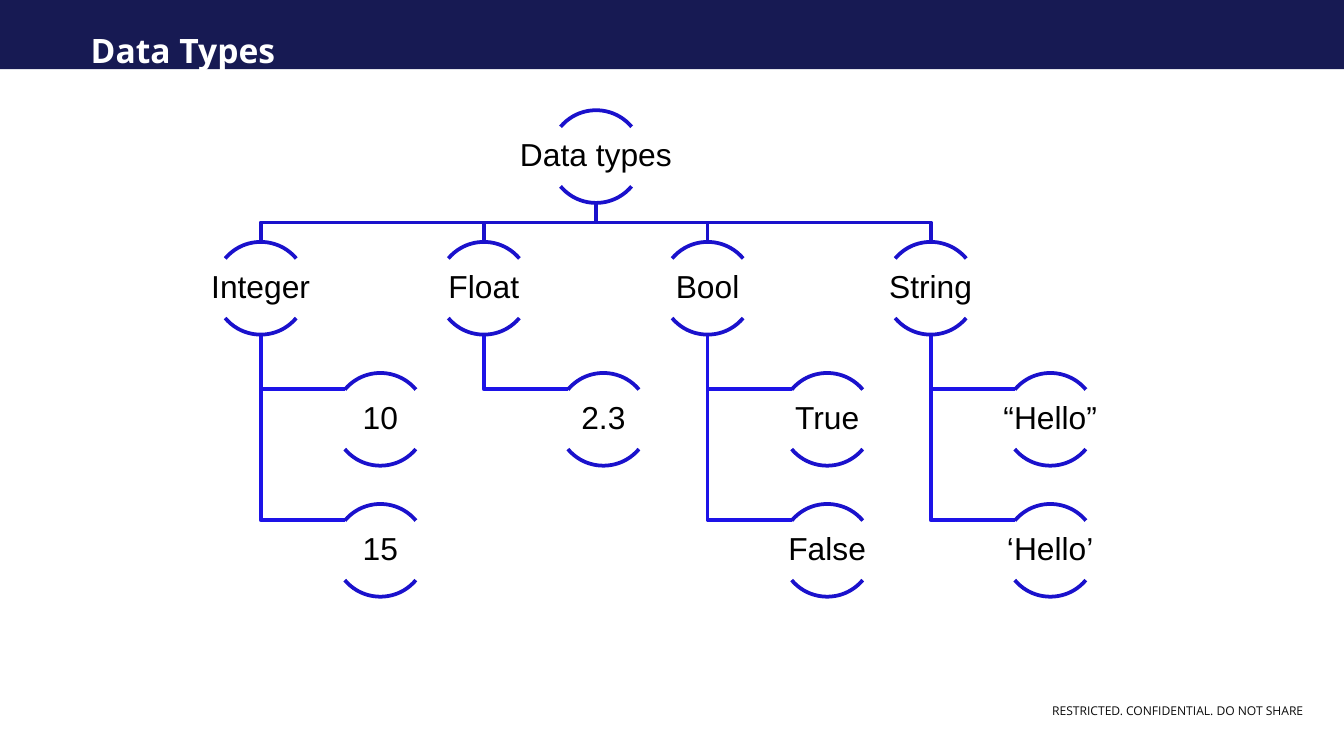
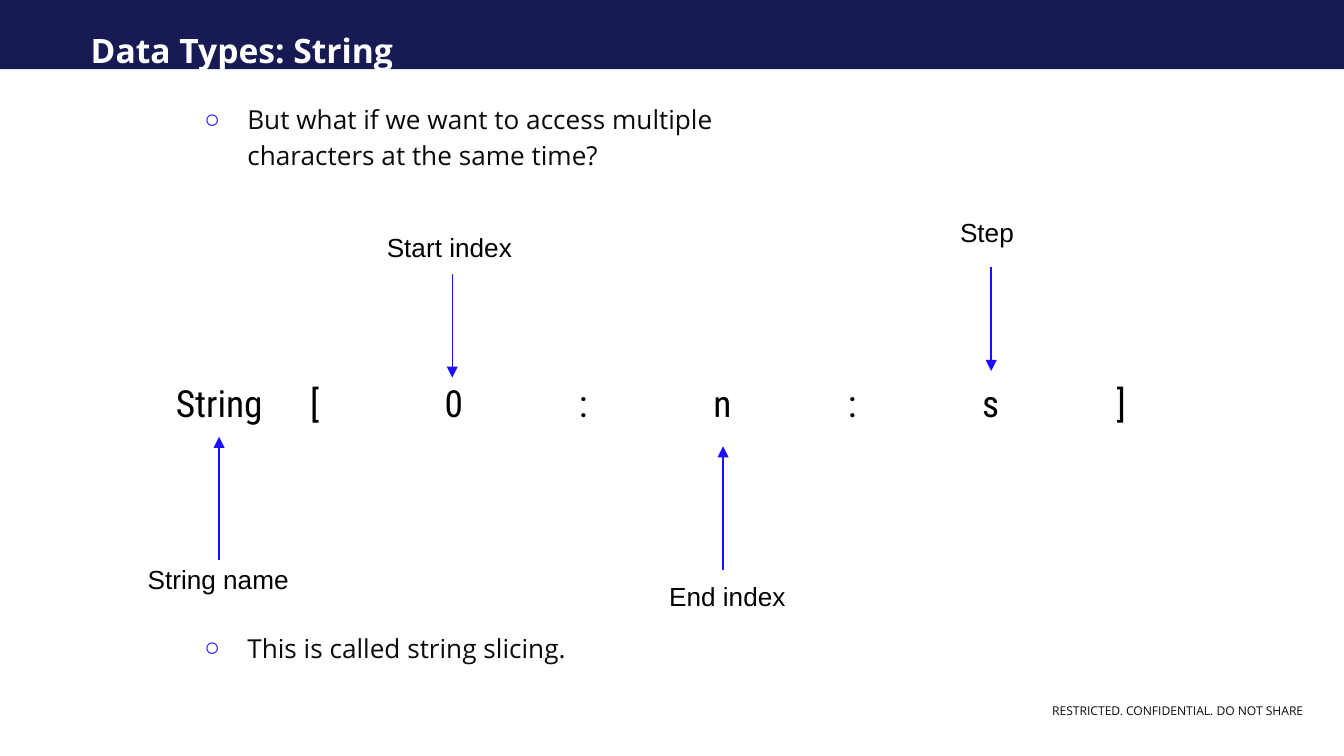
from lxml.etree import SubElement
from pptx import Presentation
from pptx.dml.color import RGBColor
from pptx.enum.shapes import MSO_CONNECTOR, MSO_SHAPE
from pptx.enum.text import MSO_ANCHOR, MSO_AUTO_SIZE, PP_ALIGN
from pptx.oxml.ns import qn
from pptx.util import Emu, Pt

EMU_PER_PX = 4572
NAVY = RGBColor(0x17, 0x1A, 0x53)
WHITE = RGBColor(0xFF, 0xFF, 0xFF)
BLACK = RGBColor(0x00, 0x00, 0x00)
INK = RGBColor(0x0B, 0x0B, 0x0B)
BULLET_BLUE = RGBColor(0x20, 0x15, 0xFF)
ARROW_BLUE = RGBColor(0x1A, 0x0F, 0xFF)
TRUNK_BLUE = RGBColor(0x1A, 0x11, 0xCC)
BRANCH_BLUE = RGBColor(0x1D, 0x13, 0xE7)

TITLE_FONT = {"name": "Open Sans", "size": Pt(18), "bold": True}
BODY_FONT = {"name": "Open Sans", "size": Pt(14)}
FOOTER_FONT = {"name": "Open Sans", "size": Pt(6.5)}
NODE_FONT = {"name": "Arial", "size": Pt(17)}
CALLOUT_FONT = {"name": "Arial", "size": Pt(14)}
SYNTAX_FONT = {"name": "Roboto Condensed", "size": Pt(20)}

TITLE_PARA = {"alignment": PP_ALIGN.LEFT, "line_spacing": 1.15,
              "space_before": Pt(0), "space_after": Pt(12)}
NODE_PARA = {"alignment": PP_ALIGN.CENTER, "line_spacing": 0.9, "space_after": Pt(6)}
MIDDLE = {"vertical_anchor": MSO_ANCHOR.MIDDLE}
GROW = {"auto_size": MSO_AUTO_SIZE.SHAPE_TO_FIT_TEXT}

CIRCLE = 138
ROOT_CENTRE, ROOT_TOP, LEVEL_STEP = 887, 164, 195.5
FIRST_CENTRE, TYPES_SPAN = 388, 997
LEAF_SHIFT, BRANCH_WIDTH, BRANCH_DROP = 178, 126, 24
TYPES = [("Integer", ["10", "15"]), ("Float", ["2.3"]),
         ("Bool", ["True", "False"]), ("String", ["“Hello”", "‘Hello’"])]
CALLOUTS = [("String name", (200, 829, 356, 67), 326, 834, 650),
            ("Start index", (556, 334, 234, 67), 673, 408, 562),
            ("End index", (976, 854, 356, 67), 1076, 848, 664),
            ("Step", (1409, 312, 234, 67), 1475, 398, 552)]


def px(*lengths):
    """Turn px lengths into a list of EMU lengths."""
    return [Emu(length * EMU_PER_PX) for length in lengths]


def apply(target, values):
    """Set each attribute named in a dict of format values."""
    for name, value in values.items():
        setattr(target, name, value)


def place(box, area):
    """Move and size a box."""
    apply(box, dict(zip(("left", "top", "width", "height"), px(*area))))


def format_frame(box, inset, values):
    """Give a text frame equal insets, wrapping and further settings."""
    sides = ("margin_left", "margin_top", "margin_right", "margin_bottom")
    apply(box.text_frame, dict.fromkeys(sides, px(inset)[0]))
    apply(box.text_frame, {"word_wrap": True, "auto_size": MSO_AUTO_SIZE.NONE, **values})


def write(para, text, font, color, values):
    """Write one formatted span into a paragraph."""
    span = para.add_run()
    span.text = text
    apply(span.font, font)
    span.font.color.rgb = color
    apply(para, values)


def add_label(shapes, text, area, font, color=BLACK, para=None, inset=None, frame=None):
    """Add a text box holding one paragraph and return the box."""
    box = shapes.add_textbox(*px(*area))
    if inset is None:
        apply(box.text_frame, {"word_wrap": True, **(frame or {})})
    else:
        format_frame(box, inset, frame or {})
    write(box.text_frame.paragraphs[0], text, font, color, para or {})
    return box


def add_page(deck, layout, title):
    """Add a page with the shared band, title and footer."""
    page = deck.slides.add_slide(deck.slide_layouts.get_by_name(layout))
    band = page.shapes.add_shape(MSO_SHAPE.RECTANGLE, *px(0, 0, 2000, 103))
    band.shadow.inherit = False
    band.fill.solid()
    band.fill.fore_color.rgb = NAVY
    band.line.fill.background()
    page.shapes.title._element.addprevious(band._element)
    place(page.shapes.title, (135, 46, 1740, 48))
    format_frame(page.shapes.title, 0, MIDDLE)
    write(page.shapes.title.text_frame.paragraphs[0], title, TITLE_FONT, WHITE, TITLE_PARA)
    add_label(page.shapes, "RESTRICTED. CONFIDENTIAL. DO NOT SHARE", (1236, 1039, 704, 38),
              FOOTER_FONT, INK, {"alignment": PP_ALIGN.RIGHT}, 0, MIDDLE)
    return page


def outline(shape, color):
    """Leave a shape unfilled with a plain line."""
    shape.shadow.inherit = False
    shape.fill.background()
    shape.line.color.rgb = color
    shape.line.width = Pt(2)


def add_elbow(shapes, points, color):
    """Draw an open line through the points."""
    start, *rest = [px(*point) for point in points]
    builder = shapes.build_freeform(*start)
    builder.add_line_segments(rest, close=False)
    outline(builder.convert_to_shape(), color)


def level_top(level):
    """Give the top of a level of the tree."""
    return ROOT_TOP + round(LEVEL_STEP * level)


def add_node(shapes, text, centre, level):
    """Add a label between an upper and a lower arc."""
    top = level_top(level)
    for angles in ((132, 192), (24, 84)):
        arc = shapes.add_shape(MSO_SHAPE.ARC, *px(centre - CIRCLE // 2, top, CIRCLE, CIRCLE))
        arc.adjustments[0], arc.adjustments[1] = angles
        outline(arc, TRUNK_BLUE)
    add_label(shapes, text, (centre - 137, top + 25, 274, 88), NODE_FONT,
              para=NODE_PARA, inset=2, frame=MIDDLE)


def add_tree(page):
    """Draw the tree of data types, lines first."""
    shapes = page.shapes.add_group_shape().shapes
    nodes = [("Data types", ROOT_CENTRE, 0)]
    root_bottom, type_top = ROOT_TOP + CIRCLE, level_top(1)
    middle = (root_bottom + type_top) // 2
    for index, (name, examples) in enumerate(TYPES):
        centre = FIRST_CENTRE + round(index * TYPES_SPAN / (len(TYPES) - 1))
        nodes.append((name, centre, 1))
        add_elbow(shapes, [(ROOT_CENTRE, root_bottom), (ROOT_CENTRE, middle),
                           (centre, middle), (centre, type_top)], TRUNK_BLUE)
        for level, example in enumerate(examples, 2):
            nodes.append((example, centre + LEAF_SHIFT, level))
            turn = level_top(level) + BRANCH_DROP
            add_elbow(shapes, [(centre, type_top + CIRCLE), (centre, turn),
                               (centre + BRANCH_WIDTH, turn)], BRANCH_BLUE)
    for node in nodes:
        add_node(shapes, *node)


def add_bullet(para, text, space_before):
    """Write a second-level item with a hollow round bullet."""
    write(para, text, BODY_FONT, INK,
          {"level": 1, "line_spacing": 1.15, "space_before": Pt(space_before)})
    properties = para._p.get_or_add_pPr()
    properties.set("marL", str(px(200)[0]))
    properties.set("indent", str(px(-64)[0]))
    color = SubElement(properties, qn("a:buClr"))
    SubElement(color, qn("a:srgbClr"), val=str(BULLET_BLUE))
    SubElement(properties, qn("a:buChar"), char="○")


def add_arrow(page, x, start, end):
    """Draw a vertical arrow."""
    arrow = page.shapes.add_connector(MSO_CONNECTOR.STRAIGHT, *px(x, start, x, end))
    arrow.line.color.rgb = ARROW_BLUE
    arrow.line.width = Pt(0.75)
    SubElement(arrow.line._get_or_add_ln(), qn("a:tailEnd"), type="triangle")
    SubElement(arrow._element.spPr, qn("a:effectLst"))


def add_syntax(page):
    """Write the slice syntax with one tab stop per inch."""
    box = add_label(page.shapes, "\t".join(["String", *"[0:n:s]"]), (242, 556, 1666, 88),
                    SYNTAX_FONT, frame=GROW)
    properties = box.text_frame.paragraphs[0]._p.get_or_add_pPr()
    properties.set("defTabSz", str(px(200)[0]))


def add_slicing(page):
    """Fill the list and the annotated slice syntax."""
    body = page.placeholders[1]
    place(body, (168, 147, 1072, 158))
    format_frame(body, 0, {"vertical_anchor": MSO_ANCHOR.TOP})
    add_bullet(body.text_frame.paragraphs[0],
               "But what if we want to access multiple characters at the same time?", 10)
    add_bullet(body.text_frame.add_paragraph(), "This is called string slicing.", 244.5)
    for text, area, x, start, end in CALLOUTS:
        add_arrow(page, x, start, end)
        add_label(page.shapes, text, area, CALLOUT_FONT, frame=GROW)
    add_syntax(page)


def main():
    """Build and save the deck."""
    deck = Presentation()
    deck.slide_width, deck.slide_height = px(2000, 1125)
    add_tree(add_page(deck, "Title Only", "Data Types"))
    add_slicing(add_page(deck, "Title and Content", "Data Types: String"))
    deck.save("out.pptx")


if __name__ == "__main__":
    main()
